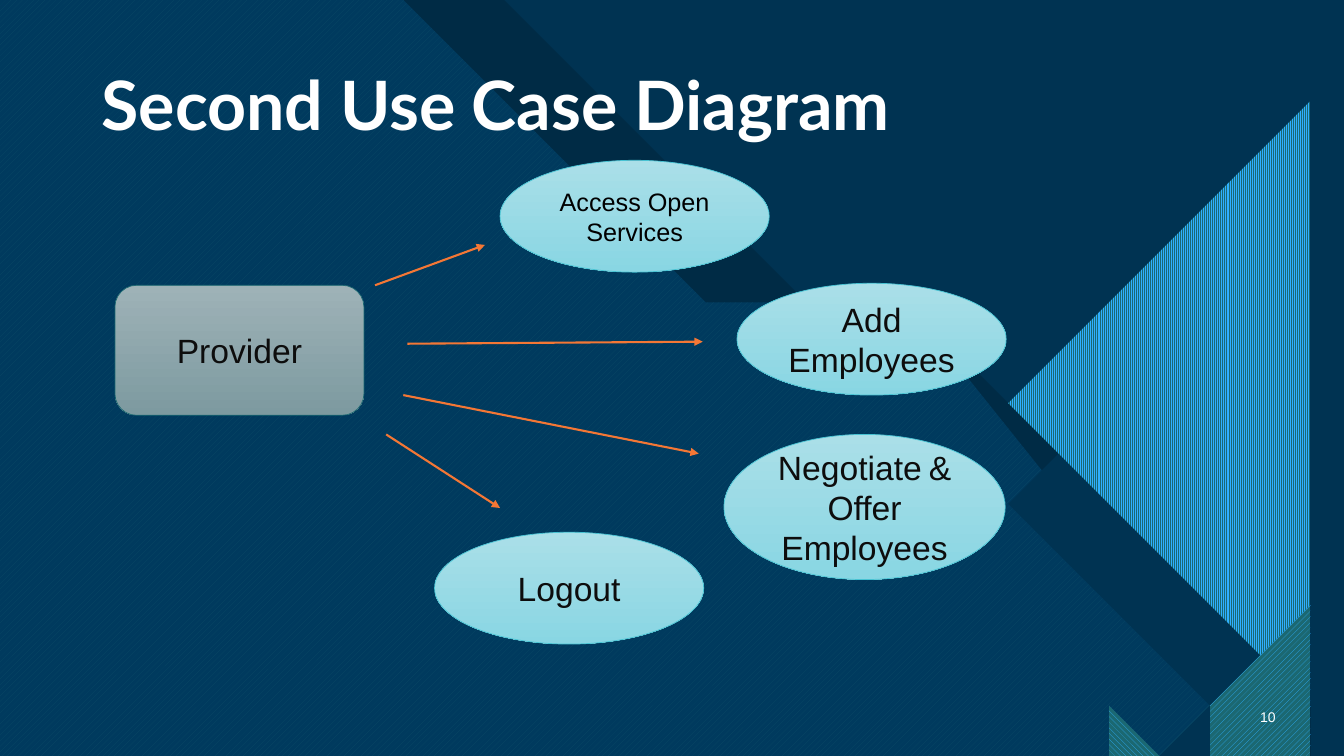
import pptx
import pptx.util
import pptx.dml.color
import pptx.enum.dml
import pptx.enum.shapes
import pptx.enum.text
import pptx.oxml.ns
import lxml.etree

W, H = 13.33, 7.5
NAVY, TEAL, SKY = "003352", "1B6872", "2FAFFF"
INK = "0D0D0D"
SHAPE = pptx.enum.shapes.MSO_SHAPE
PAT = pptx.enum.dml.MSO_PATTERN
ALIGN = pptx.enum.text.PP_ALIGN
ANCHOR = pptx.enum.text.MSO_ANCHOR

BANDS = [
    ([(0, 0), (4.9, 0), (7.88, 2.97), (9.14, 2.97), (W, 7.17), (W, H), (0, H)],
     ("000000",), 100),
    ([(0, 0), (4.49, 0), (7.46, 2.97), (8.72, 2.97), (13.25, H), (0, H)],
     ("47C3D3", "0065A4", PAT.WIDE_UPWARD_DIAGONAL), 100),
    ([(0, 0), (6.95, 0), (9.92, 2.97), (11.18, 2.97), (W, 5.13), (W, H), (0, H)],
     (NAVY,), 85),
    ([(W, 1.55), (W, 7.08), (12.2, 7.08), (10, 4.88)], (NAVY,), 100),
    ([(W, 1.29), (W, 7.37), (13.05, 7.37), (10.15, 4.47)],
     (SKY, TEAL, PAT.LIGHT_VERTICAL), 100),
    ([(W, 6.14), (W, H), (11.97, H)], (NAVY,), 100),
    ([(W, 5.66), (W, H), (11.49, H)],
     (SKY, TEAL, PAT.WIDE_UPWARD_DIAGONAL), 100),
    ([(12.32, H), (11.5, 6.69), (10.69, H)], (NAVY,), 100),
    ([(10.52, H), (11.33, 6.7), (12.13, H)],
     (SKY, TEAL, PAT.WIDE_DOWNWARD_DIAGONAL), 100),
]

TITLE = [("Second Use Case Diagram", 48.6, "FFFFFF")]
PAGE = [("10", 10, "FFFFFF")]
ACTOR = ((1.14, 2.83, 2.47, 1.29), [("Provider", 24, INK)])
CASES = [
    ((4.96, 1.59, 2.67, 1.11), [("Access Open Services", 18, "000000")]),
    ((7.31, 2.81, 2.67, 1.11), [("Add Employees", 24, INK)]),
    ((7.18, 4.31, 2.79, 1.44), [("Negotiate", 24, INK), (" ", 18, "000000"),
                                ("& Offer Employees", 24, INK)]),
    ((4.31, 5.28, 2.67, 1.11), [("Logout", 24, INK)]),
]
ARROWS = [
    (3.72, 2.83, 4.81, 2.43),
    (3.83, 4.31, 4.96, 5.04),
    (4, 3.92, 6.93, 4.5),
    (4.04, 3.41, 6.97, 3.39),
]

deck = pptx.Presentation()
deck.slide_width = pptx.util.Inches(W)
deck.slide_height = pptx.util.Inches(H)
slide = deck.slides.add_slide(deck.slide_layouts[6])


def tint(text):
    return pptx.dml.color.RGBColor.from_string(text)


def inch(*nums):
    return [pptx.util.Inches(num) for num in nums]


def sub(node, tag, **attrs):
    return lxml.etree.SubElement(node, pptx.oxml.ns.qn(tag), **attrs)


def write(shape, runs, align, anchor=ANCHOR.MIDDLE, font="Arial", bold=False):
    frame = shape.text_frame
    frame.word_wrap = True
    frame.vertical_anchor = anchor
    para = frame.paragraphs[0]
    para.alignment = align
    for text, size, color in runs:
        run = para.add_run()
        run.text = text
        run.font.size = pptx.util.Pt(size)
        run.font.name = font
        run.font.bold = bold
        run.font.color.rgb = tint(color)
    return para


def band(points, paint, alpha):
    pen = slide.shapes.build_freeform(*points[0], scale=pptx.util.Inches(1))
    pen.add_line_segments(points[1:], close=True)
    shape = pen.convert_to_shape()
    shape.shadow.inherit = False
    shape.line.fill.background()
    if len(paint) == 3:
        shape.fill.patterned()
        shape.fill.pattern = paint[2]
        shape.fill.fore_color.rgb = tint(paint[0])
        shape.fill.back_color.rgb = tint(paint[1])
    else:
        shape.fill.solid()
        shape.fill.fore_color.rgb = tint(paint[0])
    if alpha < 100:
        color = shape.element.spPr.find(".//" + pptx.oxml.ns.qn("a:srgbClr"))
        sub(color, "a:alpha", val=str(alpha * 1000))


def node(kind, box, runs, shades, edge):
    shape = slide.shapes.add_shape(kind, *inch(*box))
    shape.shadow.inherit = False
    shape.fill.gradient()
    shape.fill.gradient_angle = 270
    for stop, shade in zip(shape.fill.gradient_stops, shades):
        stop.color.rgb = tint(shade)
    shape.line.color.rgb = tint(edge)
    shape.line.width = pptx.util.Pt(0.5)
    write(shape, runs, ALIGN.CENTER)


def arrow(ends):
    kind = pptx.enum.shapes.MSO_CONNECTOR.STRAIGHT
    link = slide.shapes.add_connector(kind, *inch(*ends))
    link.line.color.rgb = tint("F47735")
    link.line.width = pptx.util.Pt(1.5)
    sub(link.line._get_or_add_ln(), "a:tailEnd", type="triangle")
    sub(link._element.spPr, "a:effectLst")


back = slide.background.fill
back.solid()
back.fore_color.rgb = tint(NAVY)
for row in BANDS:
    band(*row)

head = slide.shapes.add_textbox(*inch(0.91, 0.49, 8.51, 1))
write(head, TITLE, ALIGN.LEFT, ANCHOR.BOTTOM, "Lato", True).line_spacing = 0.9
page = slide.shapes.add_textbox(*inch(12.31, 6.91, 0.44, 0.4))
write(page, PAGE, ALIGN.RIGHT)

node(SHAPE.ROUNDED_RECTANGLE, *ACTOR, ("9EB2B7", "7D9AA0"), "1A6871")
for case in CASES:
    node(SHAPE.OVAL, *case, ("AADFE8", "89D6E3"), "47C3D3")
for ends in ARROWS:
    arrow(ends)

deck.save("out.pptx")
